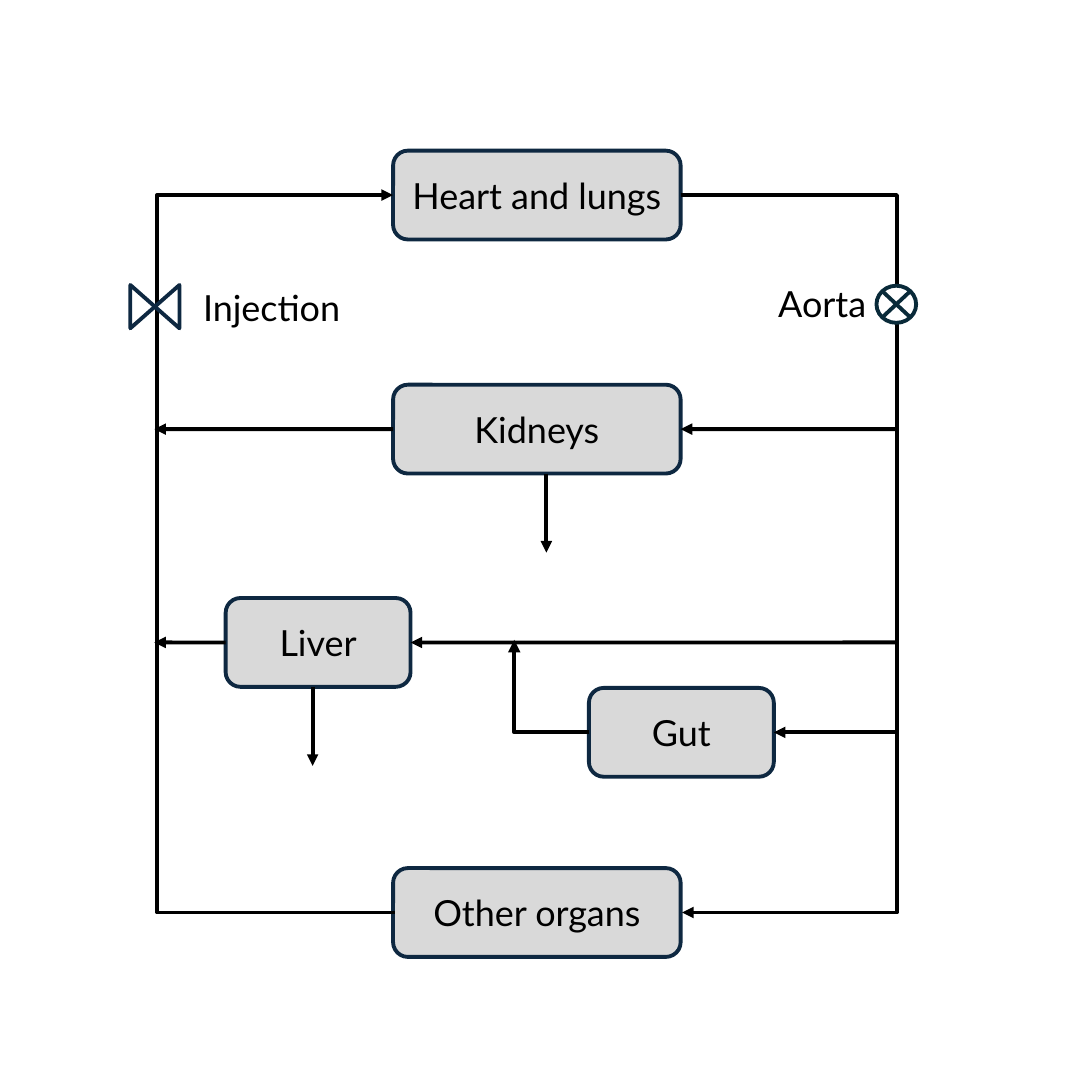
from lxml import etree
from pptx import Presentation
from pptx.dml.color import RGBColor
from pptx.enum.shapes import MSO_CONNECTOR, MSO_SHAPE
from pptx.enum.text import MSO_ANCHOR, PP_ALIGN
from pptx.oxml.ns import qn
from pptx.util import Cm, Pt

LINE, ELBOW = MSO_CONNECTOR.STRAIGHT, MSO_CONNECTOR.ELBOW
ROUND = MSO_SHAPE.ROUNDED_RECTANGLE
JUNCTION = MSO_SHAPE.FLOWCHART_SUMMING_JUNCTION
VALVE = MSO_SHAPE.FLOWCHART_COLLATE
MIDDLE, CENTER, LEFT = MSO_ANCHOR.MIDDLE, PP_ALIGN.CENTER, PP_ALIGN.LEFT

BLACK = RGBColor(0x00, 0x00, 0x00)
WHITE = RGBColor(0xFF, 0xFF, 0xFF)
GREY = RGBColor(0xD9, 0xD9, 0xD9)
NAVY = RGBColor(0x0E, 0x28, 0x41)
TEAL = RGBColor(0x09, 0x2A, 0x39)

# Box sizes, vessel positions and row centres, in cm
HIGH, WIDE, SLIM, MID = 2.44, 7.9, 5.08, 10.8
VEIN, ARTERY = 4.32, 24.64
HEART, KIDNEY, LIVER, GUT, OTHER = 5.36, 11.79, 17.65, 20.12, 25.07


class Chart:
    font, size, weight = "Lato", Pt(28), Pt(3)

    def __init__(self, slide):
        self.shapes = slide.shapes

    def text(self, shape, words, align):
        shape.text_frame.text = words
        para = shape.text_frame.paragraphs[0]
        para.alignment = align
        font = para.runs[0].font
        font.name, font.size = self.font, self.size
        font.color.rgb = BLACK

    def shape(self, kind, left, top, width, height, fill, color):
        item = self.shapes.add_shape(kind, Cm(left), Cm(top), Cm(width), Cm(height))
        item.shadow.inherit = False
        item.fill.solid()
        item.fill.fore_color.rgb = fill
        item.line.color.rgb = color
        item.line.width = self.weight
        return item

    def box(self, words, left, row, width):
        item = self.shape(ROUND, left, row - HIGH / 2, width, HIGH, GREY, NAVY)
        item.text_frame.word_wrap = True
        item.text_frame.vertical_anchor = MIDDLE
        self.text(item, words, CENTER)
        return item

    def label(self, words, left, top, width):
        item = self.shapes.add_textbox(Cm(left), Cm(top), Cm(width), Cm(1.45))
        item.text_frame.word_wrap = True
        self.text(item, words, LEFT)

    def arrow(self, start, end, kind=LINE):
        item = self.shapes.add_connector(kind, *map(Cm, start + end))
        item.line.color.rgb = BLACK
        item.line.width = self.weight
        props = item.element.spPr
        etree.SubElement(props.find(qn("a:ln")), qn("a:tailEnd"), type="triangle")
        etree.SubElement(props, qn("a:effectLst"))
        return item

    def bend(self, start, end):
        """Arrow with a single corner: across, then up."""
        item = self.arrow(start, end, ELBOW)
        item.element.spPr.find(qn("a:prstGeom")).set("prst", "bentConnector2")
        item.line.width = Pt(3.25)

    def loop(self, start, end, via):
        """Arrow that runs out to the vessel at x = via and back."""
        item = self.arrow(start, end, ELBOW)
        ratio = (Cm(via) - item.begin_x) / (item.end_x - item.begin_x)
        geom = item.element.spPr.find(qn("a:prstGeom"))
        guides = geom.get_or_add_avLst()
        etree.SubElement(guides, qn("a:gd"), name="adj1",
                         fmla=f"val {round(ratio * 100000)}")


def main():
    deck = Presentation()
    deck.slide_width = deck.slide_height = Cm(30)
    chart = Chart(deck.slides.add_slide(deck.slide_layouts[6]))

    # Organs
    chart.box("Heart and lungs", MID, HEART, WIDE)
    kidneys = chart.box("Kidneys", MID, KIDNEY, WIDE)
    liver = chart.box("Liver", 6.2, LIVER, SLIM)
    gut = chart.box("Gut", 16.18, GUT, SLIM)
    chart.box("Other organs", MID, OTHER, WIDE)

    # Arterial supply
    for organ, row in ((kidneys, KIDNEY), (liver, LIVER), (gut, GUT)):
        chart.arrow((ARTERY + 0.03, row), (MID, row)).end_connect(organ, 3)

    # Gut outflow joins the liver supply
    chart.bend((16.18, GUT), (14.13, LIVER - 0.07))

    # Venous return
    for organ, row in ((liver, LIVER), (kidneys, KIDNEY)):
        chart.arrow((MID, row), (VEIN - 0.08, row)).begin_connect(organ, 1)

    # Outer circuit
    right = MID + WIDE
    chart.loop((MID + 0.04, OTHER), (MID, HEART), VEIN)
    chart.loop((right, HEART), (right + 0.04, OTHER), ARTERY)

    # Elimination
    for x, row in ((15.01, KIDNEY), (8.59, LIVER)):
        base = row + HIGH / 2
        chart.arrow((x, base), (x, base + 2.17))

    # Injection and sampling points
    chart.shape(JUNCTION, 24.08, 7.85, 1.09, 1.02, WHITE, TEAL)
    chart.label("Aorta", 21.13, 7.62, 3.56)
    chart.label("Injection", 5.33, 7.72, 4.95)
    valve = chart.shape(VALVE, 3.66, 7.75, 1.19, 1.35, WHITE, NAVY)
    valve.rotation = 90

    deck.save("out.pptx")


if __name__ == "__main__":
    main()
